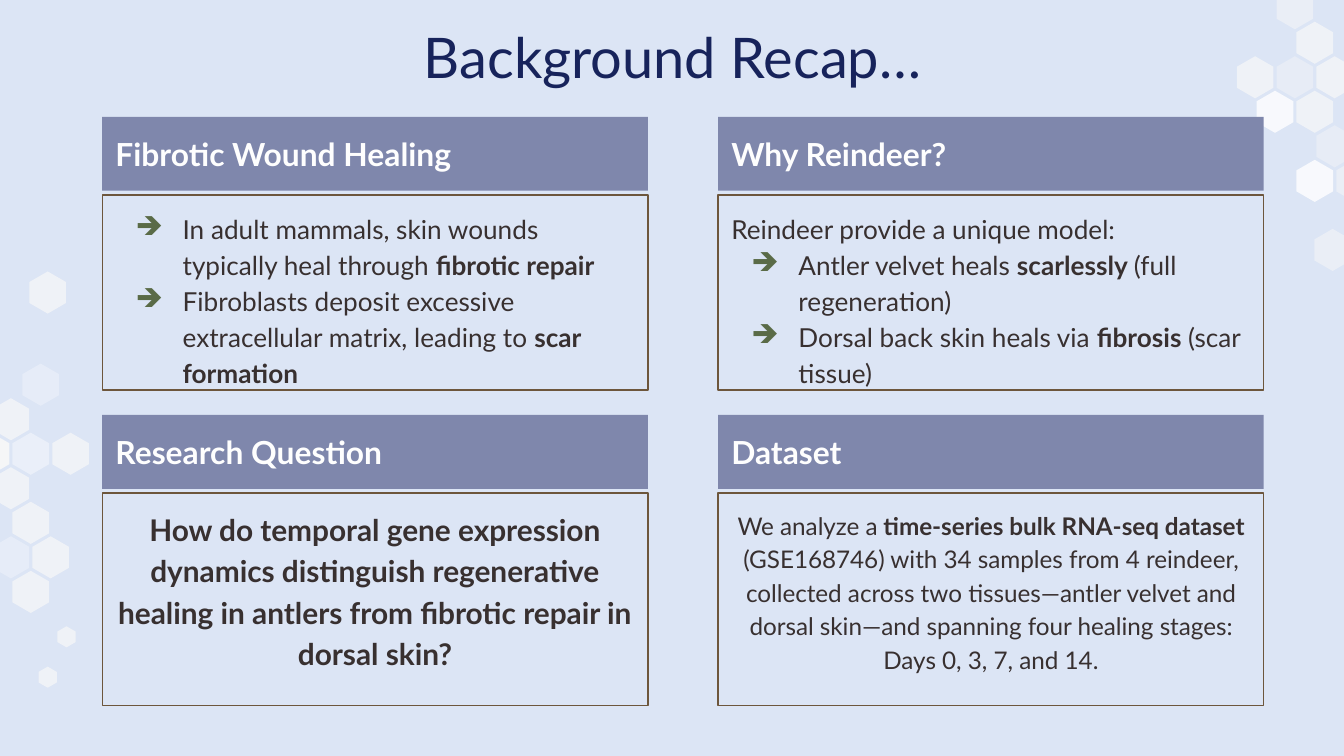
from dataclasses import dataclass
from typing import Any, NamedTuple

from lxml.etree import SubElement
from pptx import Presentation
from pptx.dml.color import RGBColor
from pptx.enum.shapes import MSO_SHAPE
from pptx.enum.text import MSO_ANCHOR, MSO_AUTO_SIZE, PP_ALIGN
from pptx.oxml.ns import qn
from pptx.util import Pt

SKY = RGBColor(0xDC, 0xE5, 0xF5)
NAVY = RGBColor(0x17, 0x23, 0x5B)
SLATE = RGBColor(0x7F, 0x87, 0xAC)
NEAR_WHITE = RGBColor(0xFE, 0xFE, 0xFE)
INK = RGBColor(0x38, 0x30, 0x30)
BROWN = RGBColor(0x6D, 0x56, 0x3C)
MOSS = RGBColor(0x5A, 0x6B, 0x47)
WHITE = RGBColor(0xFF, 0xFF, 0xFF)
PALE = RGBColor(0xF8, 0xF8, 0xF8)

FONT = "Lato"
CARD_WIDTH = 292.3
HEADING_HEIGHT = 39.6
BODY_OFFSET = 41.9
COLUMN_LEFTS = (54.8, 384.7)
ROW_TOPS = (62.6, 222.3)
BODY_HEIGHTS = (104.4, 113.8)

HEX_HALF_WIDTH = 9.8
HEX_HALF_HEIGHT = 11.3
HEX_COLUMN_STEP = 10.65
HEX_ROW_STEP = 18.5


class Run(NamedTuple):
    text: str
    bold: bool = False


class Paragraph(NamedTuple):
    runs: tuple[Run, ...]
    bulleted: bool = False


@dataclass(frozen=True)
class Card:
    column: int
    row: int
    heading: str
    size: float
    paragraphs: tuple[Paragraph, ...]
    align: PP_ALIGN = PP_ALIGN.LEFT


class Cell(NamedTuple):
    """A hexagon at a column and row of its honeycomb."""
    column: float
    row: float
    opacity: int
    color: RGBColor = PALE
    scale: float = 1


class Honeycomb(NamedTuple):
    left: float
    top: float
    cells: tuple[Cell, ...]


CARDS = (
    Card(0, 0, "Fibrotic Wound Healing", 14, (
        Paragraph((Run("In adult mammals, skin wounds typically heal through "),
                   Run("fibrotic repair", True)), True),
        Paragraph((Run("Fibroblasts deposit excessive extracellular matrix, leading to "),
                   Run("scar formation", True)), True),
    )),
    Card(0, 1, "Research Question", 16, (
        Paragraph((Run("How do temporal gene expression dynamics distinguish regenerative "
                       "healing in antlers from fibrotic repair in dorsal skin?", True),)),
    ), PP_ALIGN.CENTER),
    Card(1, 0, "Why Reindeer?", 14, (
        Paragraph((Run("Reindeer provide a unique model:"),)),
        Paragraph((Run("Antler velvet heals "), Run("scarlessly ", True),
                   Run("(full regeneration)")), True),
        Paragraph((Run("Dorsal back skin heals via "), Run("fibrosis ", True),
                   Run("(scar tissue)")), True),
    )),
    Card(1, 1, "Dataset", 13, (
        Paragraph((Run("We analyze a"), Run(" time-series bulk RNA-seq dataset ", True),
                   Run("(GSE168746) with 34 samples from 4 reindeer, collected across two "
                       "tissues—antler velvet and dorsal skin—and spanning four healing "
                       "stages: Days 0, 3, 7, and 14."))),
    ), PP_ALIGN.CENTER),
)

HONEYCOMBS = (
    Honeycomb(672.4, 4.4, (
        Cell(5, 5, 50), Cell(3.9, 7, 50), Cell(2, 0, 50), Cell(4, 4, 40), Cell(2, 2, 40),
        Cell(3, 5, 80, WHITE), Cell(1, 3, 80, WHITE), Cell(4, 2, 70), Cell(3, 1, 70),
        Cell(3, 3, 70), Cell(0, 2, 70),
    )),
    Honeycomb(-4.8, 224.6, (
        Cell(4, 1, 70), Cell(2.85, -3.67, 70), Cell(2.5, -1, 30, WHITE),
        Cell(2, 1, 40, WHITE), Cell(2, 3, 70), Cell(3, 4, 70), Cell(2, 5, 70),
        Cell(1, 0, 70), Cell(0, 1, 90), Cell(1, 2, 70), Cell(1, 4, 30, WHITE),
        Cell(3.8, 6.3, 70, PALE, 0.5), Cell(2.85, 7.47, 70, PALE, 0.5),
    )),
)


def apply_format(target: Any, values: dict[str, Any]) -> None:
    for attribute, value in values.items():
        setattr(target, attribute, value)


def write_run(paragraph: Any, run: Run, size: float, color: RGBColor) -> None:
    written = paragraph.add_run()
    written.text = run.text
    apply_format(written.font, {"name": FONT, "size": Pt(size), "bold": run.bold})
    written.font.color.rgb = color


def prepare_frame(frame: Any, anchor: MSO_ANCHOR) -> None:
    margins = {f"margin_{side}": Pt(7.2) for side in ("left", "top", "right", "bottom")}
    apply_format(frame, {"word_wrap": True, "auto_size": MSO_AUTO_SIZE.NONE,
                         "vertical_anchor": anchor, **margins})


def add_arrow_bullet(paragraph: Any) -> None:
    properties = paragraph._p.get_or_add_pPr()
    properties.set("marL", str(Pt(36)))
    properties.set("indent", str(Pt(-25.2)))
    bullet_color = SubElement(properties, qn("a:buClr"))
    SubElement(bullet_color, qn("a:srgbClr"), val=str(MOSS))
    SubElement(properties, qn("a:buChar"), char="➔")


def draw_hexagon(shapes: Any, comb: Honeycomb, cell: Cell) -> None:
    x = comb.left + cell.column * HEX_COLUMN_STEP
    y = comb.top + cell.row * HEX_ROW_STEP
    corners = [
        (Pt(x + dx * HEX_HALF_WIDTH * cell.scale), Pt(y + dy * HEX_HALF_HEIGHT * cell.scale))
        for dx, dy in ((0, -1), (1, -0.5), (1, 0.5), (0, 1), (-1, 0.5), (-1, -0.5))
    ]
    builder = shapes.build_freeform(*corners[0])
    builder.add_line_segments(corners[1:], close=True)
    hexagon = builder.convert_to_shape()
    hexagon.shadow.inherit = False
    hexagon.line.fill.background()
    hexagon.fill.solid()
    hexagon.fill.fore_color.rgb = cell.color
    color_element = hexagon._element.spPr.find(f"{qn('a:solidFill')}/{qn('a:srgbClr')}")
    SubElement(color_element, qn("a:alpha"), val=str(cell.opacity * 1000))


def add_panel(shapes: Any, left: float, top: float, height: float, anchor: MSO_ANCHOR) -> Any:
    panel = shapes.add_shape(MSO_SHAPE.RECTANGLE, Pt(left), Pt(top), Pt(CARD_WIDTH), Pt(height))
    panel.shadow.inherit = False
    prepare_frame(panel.text_frame, anchor)
    return panel


def draw_card(shapes: Any, card: Card) -> None:
    left, top = COLUMN_LEFTS[card.column], ROW_TOPS[card.row]
    heading = add_panel(shapes, left, top, HEADING_HEIGHT, MSO_ANCHOR.MIDDLE)
    heading.fill.solid()
    heading.fill.fore_color.rgb = SLATE
    heading.line.fill.background()
    heading_line = heading.text_frame.paragraphs[0]
    heading_line.alignment = PP_ALIGN.LEFT
    write_run(heading_line, Run(card.heading, True), 17, NEAR_WHITE)

    body = add_panel(shapes, left, top + BODY_OFFSET, BODY_HEIGHTS[card.row], MSO_ANCHOR.TOP)
    body.fill.background()
    body.line.color.rgb = BROWN
    body.line.width = Pt(0.75)
    frame = body.text_frame
    for index, content in enumerate(card.paragraphs):
        paragraph = frame.add_paragraph() if index else frame.paragraphs[0]
        apply_format(paragraph, {"alignment": card.align, "line_spacing": 1.15})
        if content.bulleted:
            add_arrow_bullet(paragraph)
        for run in content.runs:
            write_run(paragraph, run, card.size, INK)


def main() -> None:
    deck = Presentation()
    apply_format(deck, {"slide_width": Pt(720), "slide_height": Pt(405)})
    slide = deck.slides.add_slide(deck.slide_layouts[5])
    slide.background.fill.solid()
    slide.background.fill.fore_color.rgb = SKY

    title = slide.shapes.title
    apply_format(title, {"left": Pt(56.9), "top": Pt(5), "width": Pt(607), "height": Pt(45.4)})
    prepare_frame(title.text_frame, MSO_ANCHOR.TOP)
    title_line = title.text_frame.paragraphs[0]
    title_line.alignment = PP_ALIGN.CENTER
    write_run(title_line, Run("Background Recap…"), 30, NAVY)

    for comb in HONEYCOMBS:
        for cell in comb.cells:
            draw_hexagon(slide.shapes, comb, cell)
    for card in CARDS:
        draw_card(slide.shapes, card)
    deck.save("out.pptx")


if __name__ == "__main__":
    main()
